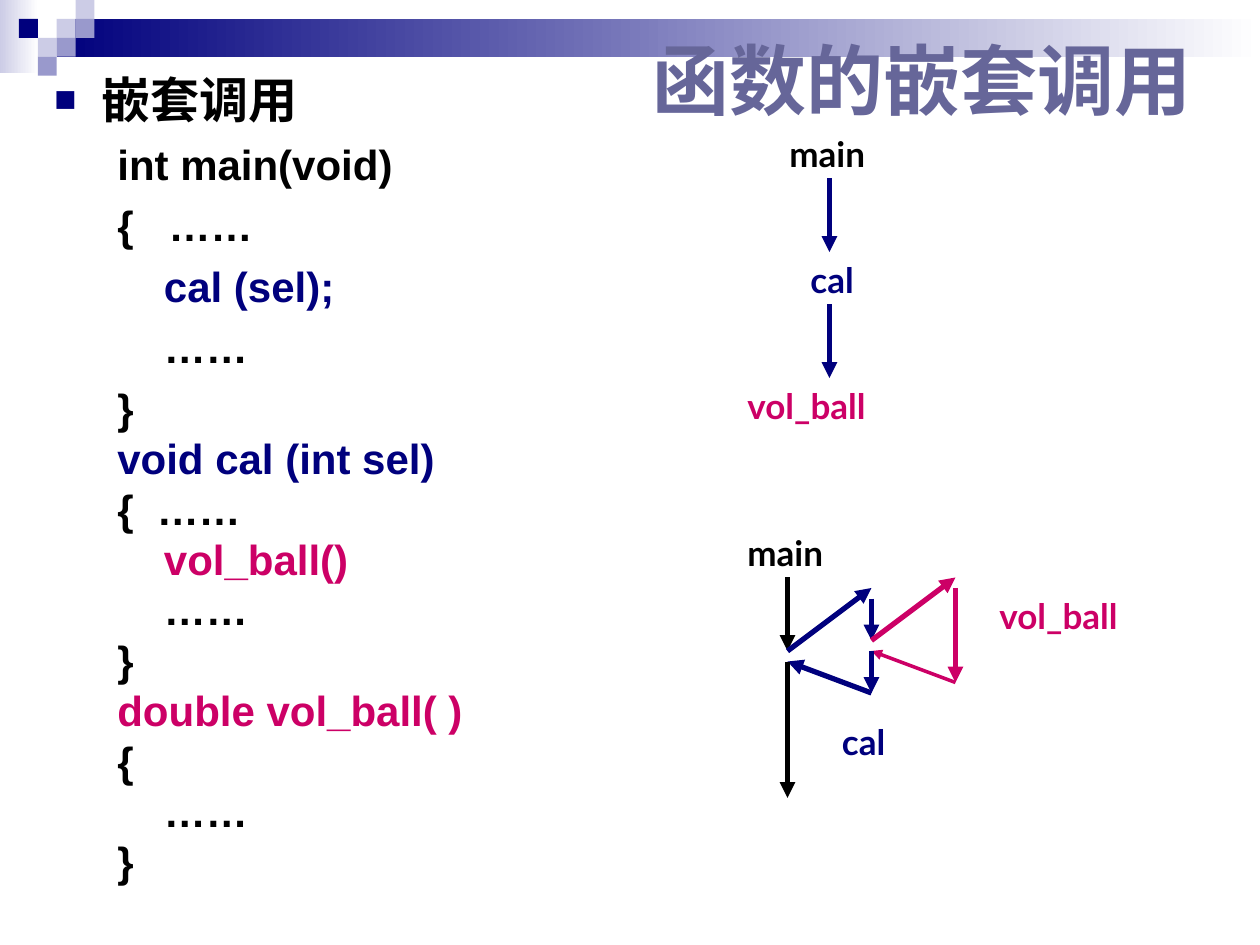
from pptx import Presentation
from pptx.dml.color import RGBColor
from pptx.enum import shapes, text
from pptx.oxml.ns import qn
from pptx.util import Pt
from lxml import etree

THEME = {
    "black": "000000", "navy": "00007D", "pink": "CC0066", "slate": "666699",
    "pale": "CCCCE6", "lilac": "9999CC", "white": "FFFFFF",
    "text_font": "Arial", "label_font": "Lato",
    "title": 44, "heading": 28, "code": 24, "label": 20,
}

TITLE = ("函数的嵌套调用", (366, 15, 340, 60))
HEADING = "嵌套调用"
BODY_AREA = (24, 36, 291, 480)
MAIN_CODE = [
    ("int main(void)", "black"),
    ("{   ……", "black"),
    ("    cal (sel);", "navy"),
    ("    ……", "black"),
    ("}", "black"),
]
FUNCTION_CODE = [
    ("void cal (int sel)", "navy"),
    ("{\t……", "black"),
    ("    vol_ball()", "pink"),
    ("    ……", "black"),
    ("}", "black"),
    ("double vol_ball( )", "pink"),
    ("{", "black"),
    ("    ……", "black"),
    ("}", "black"),
]

GRADIENT_BARS = [((0, 0, 22, 42), "pale"), ((32.4, 10.8, 687.6, 21.6), "navy")]
SQUARE = 10.8
SQUARES = [
    (3, 1, "pale"), (4, 0, "pale"), (4, 1, "lilac"), (2, 2, "pale"),
    (1, 1, "navy"), (3, 2, "lilac"), (2, 3, "lilac"),
]

LABEL_HEIGHT = 32
LABELS = [
    ("main", 420, 300, 78, "black"),
    ("cal", 474, 408, 48, "navy"),
    ("vol_ball", 564, 336, 108, "pink"),
    ("main", 444, 72, 78, "black"),
    ("cal", 456, 144, 48, "navy"),
    ("vol_ball", 420, 216, 102, "pink"),
]

CHAIN_X, MAIN_X, CAL_X, BALL_X = 474, 450, 498, 546
ARROWS = [
    (MAIN_X, 330, MAIN_X, 372, "black", 3),
    (MAIN_X, 372, CAL_X, 336, "navy", 3),
    (CAL_X, 342, CAL_X, 366, "navy", 3),
    (CAL_X, 396, MAIN_X, 378, "navy", 3),
    (MAIN_X, 378, MAIN_X, 456, "black", 3),
    (CAL_X, 366, BALL_X, 330, "pink", 3),
    (BALL_X, 336, BALL_X, 390, "pink", 3),
    (BALL_X, 390, CAL_X, 372, "pink", 2),
    (CHAIN_X, 102, CHAIN_X, 144, "navy", 3),
    (CHAIN_X, 174, CHAIN_X, 216, "navy", 3),
    (CAL_X, 372, CAL_X, 396, "navy", 3),
]


def color(name):
    return RGBColor.from_string(THEME[name])


def apply(target, values):
    for name, value in values.items():
        setattr(target, name, value)


def add_rectangle(page, area):
    box = page.shapes.add_shape(shapes.MSO_SHAPE.RECTANGLE, *map(Pt, area))
    box.shadow.inherit = False
    box.line.fill.background()
    return box


def add_gradient_bar(page, area, shade):
    fill = add_rectangle(page, area).fill
    fill.gradient()
    fill.gradient_angle = 180
    for stop, name in zip(fill.gradient_stops, ("white", shade)):
        stop.color.rgb = color(name)


def add_square(page, column, row, shade):
    area = (column * SQUARE, row * SQUARE, SQUARE, SQUARE)
    fill = add_rectangle(page, area).fill
    fill.solid()
    fill.fore_color.rgb = color(shade)


def add_text_frame(page, area, anchor=text.MSO_ANCHOR.TOP):
    frame = page.shapes.add_textbox(*map(Pt, area)).text_frame
    apply(frame, {"word_wrap": True, "vertical_anchor": anchor})
    return frame


def write(para, words, size, shade, font="text_font"):
    span = para.add_run()
    span.text = words
    apply(span.font, {"name": THEME[font], "size": Pt(THEME[size]), "bold": True})
    span.font.color.rgb = color(shade)


def set_indent(para, margin, indent):
    properties = para._p.get_or_add_pPr()
    properties.set("marL", str(Pt(margin)))
    properties.set("indent", str(Pt(indent)))
    return properties


def add_bullet(properties):
    tint = etree.SubElement(properties, qn("a:buClr"))
    etree.SubElement(tint, qn("a:srgbClr"), val=THEME["navy"])
    etree.SubElement(properties, qn("a:buSzPct"), val="75000")
    etree.SubElement(properties, qn("a:buFont"), typeface=THEME["text_font"])
    etree.SubElement(properties, qn("a:buChar"), char="■")


def add_body(page):
    frame = add_text_frame(page, BODY_AREA)
    heading = frame.paragraphs[0]
    add_bullet(set_indent(heading, 27, -27))
    write(heading, HEADING, "heading", "black")
    blocks = [
        (MAIN_CODE, {"space_before": Pt(6)}),
        (FUNCTION_CODE, {"space_before": Pt(0), "alignment": text.PP_ALIGN.JUSTIFY}),
    ]
    for lines, layout in blocks:
        for words, shade in lines:
            para = frame.add_paragraph()
            set_indent(para, 58.5, -22.5)
            apply(para, layout)
            write(para, words, "code", shade)


def add_arrow(page, x1, y1, x2, y2, shade, width):
    arrow = page.shapes.add_connector(
        shapes.MSO_CONNECTOR.STRAIGHT, *map(Pt, (x1, y1, x2, y2)))
    arrow.line.width = Pt(width)
    arrow.line.color.rgb = color(shade)
    etree.SubElement(arrow.line._get_or_add_ln(), qn("a:tailEnd"), type="triangle")
    etree.SubElement(arrow._element.spPr, qn("a:effectLst"))


def main():
    deck = Presentation()
    apply(deck, {"slide_width": Pt(720), "slide_height": Pt(540)})
    page = deck.slides.add_slide(deck.slide_layouts[6])

    for area, shade in GRADIENT_BARS:
        add_gradient_bar(page, area, shade)
    for square in SQUARES:
        add_square(page, *square)

    words, area = TITLE
    title = add_text_frame(page, area, text.MSO_ANCHOR.MIDDLE)
    write(title.paragraphs[0], words, "title", "slate")
    add_body(page)

    for arrow in ARROWS:
        add_arrow(page, *arrow)
    for words, left, top, width, shade in LABELS:
        frame = add_text_frame(page, (left, top, width, LABEL_HEIGHT))
        write(frame.paragraphs[0], words, "label", shade, "label_font")

    deck.save("out.pptx")


if __name__ == "__main__":
    main()
